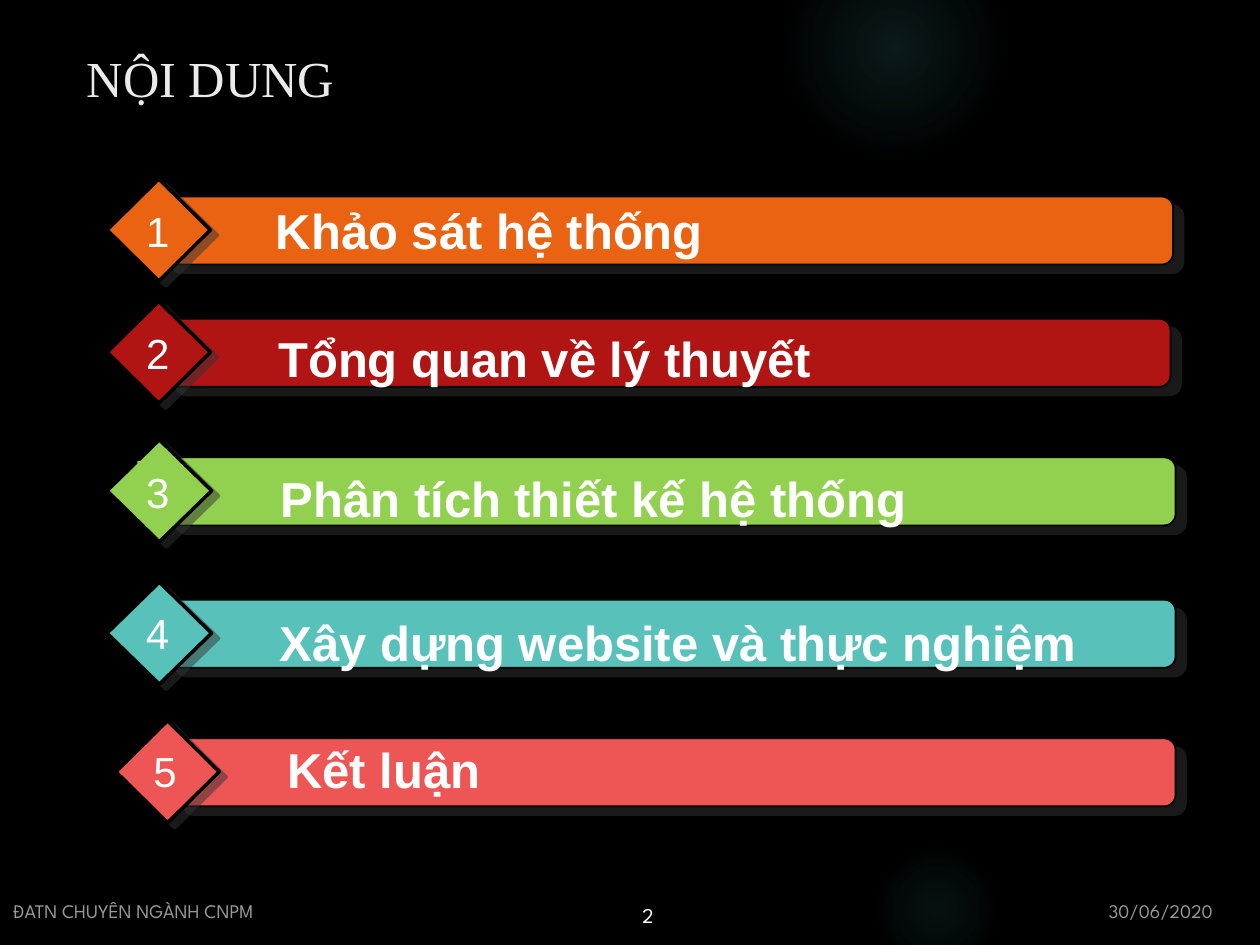
from dataclasses import dataclass
from typing import Any, Optional

import lxml.etree
import pptx
import pptx.dml.color
import pptx.enum.shapes
import pptx.enum.text
import pptx.oxml.ns
import pptx.util
from pptx.util import Inches

COLORS = {
    "background": "000000",
    "outline": "000000",
    "shadow": "333333",
    "glow": "50B9C1",
    "title": "EBEBEB",
    "white": "FFFFFF",
    "orange": "EA6312",
    "red": "B01513",
    "green": "92D050",
    "teal": "58C1BA",
    "coral": "ED5654",
}
SHAPES = pptx.enum.shapes.MSO_SHAPE
ALIGN = pptx.enum.text.PP_ALIGN
ANCHOR = pptx.enum.text.MSO_ANCHOR
BAR_HEIGHT = 0.54
DIAMOND_RISE = 0.14
DIAMOND_SIZE = 0.81


@dataclass
class Box:
    left: float
    top: float
    width: float
    height: float

    def lengths(self) -> list:
        return [Inches(v) for v in (self.left, self.top, self.width, self.height)]


@dataclass
class Glow:
    box: Box
    stops: tuple


@dataclass
class Section:
    heading: str
    color: str
    bar_left: float
    bar_right: float
    bar_top: float
    diamond_left: float
    diamond_width: float
    heading_box: Box
    indent: float
    number_box: Box
    number_fill: Optional[str] = None


@dataclass
class Caption:
    text: str
    box: Box
    font: str
    size: float
    color: str
    anchor: Any
    opacity: Optional[int] = None


GLOWS = [
    Glow(Box(6.22, -0.5, 1.75, 1.75), ((0, 14), (36, 7), (73, 0))),
    Glow(Box(6.89, 6.67, 1.08, 1.08), ((0, 9), (36, 5), (66, 0))),
]
SECTIONS = [
    Section("Khảo sát hệ thống", "orange", 1.27, 9.31, 1.56, 0.85, 0.82,
            Box(0.75, 1.55, 9.25, 0.55), 1.37, Box(1.09, 1.59, 0.32, 0.45)),
    Section("Tổng quan về lý thuyết", "red", 1.31, 9.29, 2.53, 0.85, 0.82,
            Box(1.58, 2.57, 7.83, 0.55), 0.56, Box(1.09, 2.56, 0.32, 0.45)),
    Section("Phân tích thiết kế hệ thống", "green", 1.31, 9.33, 3.63, 0.85, 0.83,
            Box(1.6, 3.68, 7.71, 0.55), 0.56, Box(1.09, 3.66, 0.32, 0.45), "green"),
    Section("Xây dựng website và thực nghiệm", "teal", 1.31, 9.33, 4.76, 0.85, 0.83,
            Box(1.59, 4.82, 7.71, 0.55), 0.56, Box(1.08, 4.78, 0.34, 0.48)),
    Section("Kết luận", "coral", 1.37, 9.33, 5.86, 0.92, 0.82,
            Box(1.65, 5.83, 7.65, 0.55), 0.56, Box(1.14, 5.88, 0.34, 0.48)),
]
CAPTIONS = [
    Caption("NỘI DUNG", Box(0.59, 0.3, 8.09, 0.62), "Times New Roman", 28.8,
            "title", ANCHOR.MIDDLE),
    Caption("30/06/2020", Box(8.7, 7.08, 1.24, 0.29), "League Spartan", 11,
            "white", ANCHOR.MIDDLE, 60),
    Caption("ĐATN CHUYÊN NGÀNH CNPM", Box(0.01, 7.12, 4.22, 0.25),
            "League Spartan", 11, "white", ANCHOR.BOTTOM, 60),
    Caption("2", Box(5, 7.12, 0.56, 0.29), "League Spartan", 12,
            "white", ANCHOR.MIDDLE),
]


def rgb(name: str) -> pptx.dml.color.RGBColor:
    return pptx.dml.color.RGBColor.from_string(COLORS[name])


def add_child(parent: Any, tag: str, **attributes: Any) -> Any:
    child = lxml.etree.SubElement(parent, pptx.oxml.ns.qn(tag))
    for key, value in attributes.items():
        child.set(key, str(value))
    return child


def add_alpha(parent: Any, color: str, percent: int) -> None:
    tint = add_child(parent, "a:srgbClr", val=COLORS[color])
    add_child(tint, "a:alpha", val=percent * 1000)


def draw_glow(shapes: Any, glow: Glow) -> None:
    disc = shapes.add_shape(SHAPES.OVAL, *glow.box.lengths())
    disc.shadow.inherit = False
    disc.line.fill.background()
    properties = disc._element.spPr
    gradient = add_child(properties, "a:gradFill", rotWithShape=1)
    stops = add_child(gradient, "a:gsLst")
    for position, percent in glow.stops:
        add_alpha(add_child(stops, "a:gs", pos=position * 1000), "glow", percent)
    circle = add_child(gradient, "a:path", path="circle")
    add_child(circle, "a:fillToRect", l=50000, t=50000, r=50000, b=50000)
    properties.find(pptx.oxml.ns.qn("a:prstGeom")).addnext(gradient)


def draw_solid(shapes: Any, kind: Any, box: Box, color: str, outline: float,
               distance: float, angle: int) -> Any:
    solid = shapes.add_shape(kind, *box.lengths())
    solid.fill.solid()
    solid.fill.fore_color.rgb = rgb(color)
    solid.line.color.rgb = rgb("outline")
    solid.line.width = pptx.util.Pt(outline)
    solid.shadow.inherit = False
    effects = solid._element.spPr.find(pptx.oxml.ns.qn("a:effectLst"))
    shadow = add_child(effects, "a:outerShdw", blurRad=0,
                       dist=int(pptx.util.Pt(distance)), dir=angle * 60000,
                       algn="ctr", rotWithShape=0)
    add_alpha(shadow, "shadow", 50)
    return solid


def draw_label(shapes: Any, text: str, box: Box, size: int, bold: bool,
               align: Any, wrap: bool, indent: float = 0,
               fill: Optional[str] = None) -> None:
    label = shapes.add_textbox(*box.lengths())
    if fill:
        label.fill.solid()
        label.fill.fore_color.rgb = rgb(fill)
    frame = label.text_frame
    frame.word_wrap = wrap
    frame.auto_size = pptx.enum.text.MSO_AUTO_SIZE.SHAPE_TO_FIT_TEXT
    frame.margin_left = frame.margin_right = Inches(0.07)
    frame.margin_top = frame.margin_bottom = Inches(0.04)
    paragraph = frame.paragraphs[0]
    paragraph.text = text
    paragraph.alignment = align
    paragraph.font.name = "Arial"
    paragraph.font.size = pptx.util.Pt(size)
    paragraph.font.bold = bold
    paragraph.font.color.rgb = rgb("white")
    if indent:
        paragraph._p.get_or_add_pPr().set("marL", str(int(Inches(indent))))


def draw_section(slide: Any, number: int, section: Section) -> None:
    shapes = slide.shapes.add_group_shape().shapes
    bar = Box(section.bar_left, section.bar_top,
              section.bar_right - section.bar_left, BAR_HEIGHT)
    diamond = Box(section.diamond_left, section.bar_top - DIAMOND_RISE,
                  section.diamond_width, DIAMOND_SIZE)
    draw_solid(shapes, SHAPES.ROUNDED_RECTANGLE, bar, section.color, 1, 7.8, 40)
    draw_solid(shapes, SHAPES.DIAMOND, diamond, section.color, 2, 5, 37)
    draw_label(shapes, section.heading, section.heading_box, 28, True,
               ALIGN.JUSTIFY, True, section.indent)
    draw_label(shapes, str(number), section.number_box, 24, False,
               ALIGN.CENTER, False, fill=section.number_fill)


def draw_caption(shapes: Any, caption: Caption) -> None:
    frame = shapes.add_textbox(*caption.box.lengths()).text_frame
    frame.word_wrap = True
    frame.vertical_anchor = caption.anchor
    paragraph = frame.paragraphs[0]
    run = paragraph.add_run()
    run.text = caption.text
    paragraph.font.name = caption.font
    paragraph.font.size = pptx.util.Pt(caption.size)
    paragraph.font.color.rgb = rgb(caption.color)
    if caption.opacity:
        tint = next(paragraph._p.iter(pptx.oxml.ns.qn("a:srgbClr")))
        add_child(tint, "a:alpha", val=caption.opacity * 1000)


def main() -> None:
    deck = pptx.Presentation()
    deck.slide_width, deck.slide_height = Inches(10), Inches(7.5)
    slide = deck.slides.add_slide(deck.slide_layouts[6])
    slide.background.fill.solid()
    slide.background.fill.fore_color.rgb = rgb("background")
    for glow in GLOWS:
        draw_glow(slide.shapes, glow)
    for number, section in enumerate(SECTIONS, start=1):
        draw_section(slide, number, section)
    for caption in CAPTIONS:
        draw_caption(slide.shapes, caption)
    deck.save("out.pptx")


if __name__ == "__main__":
    main()
